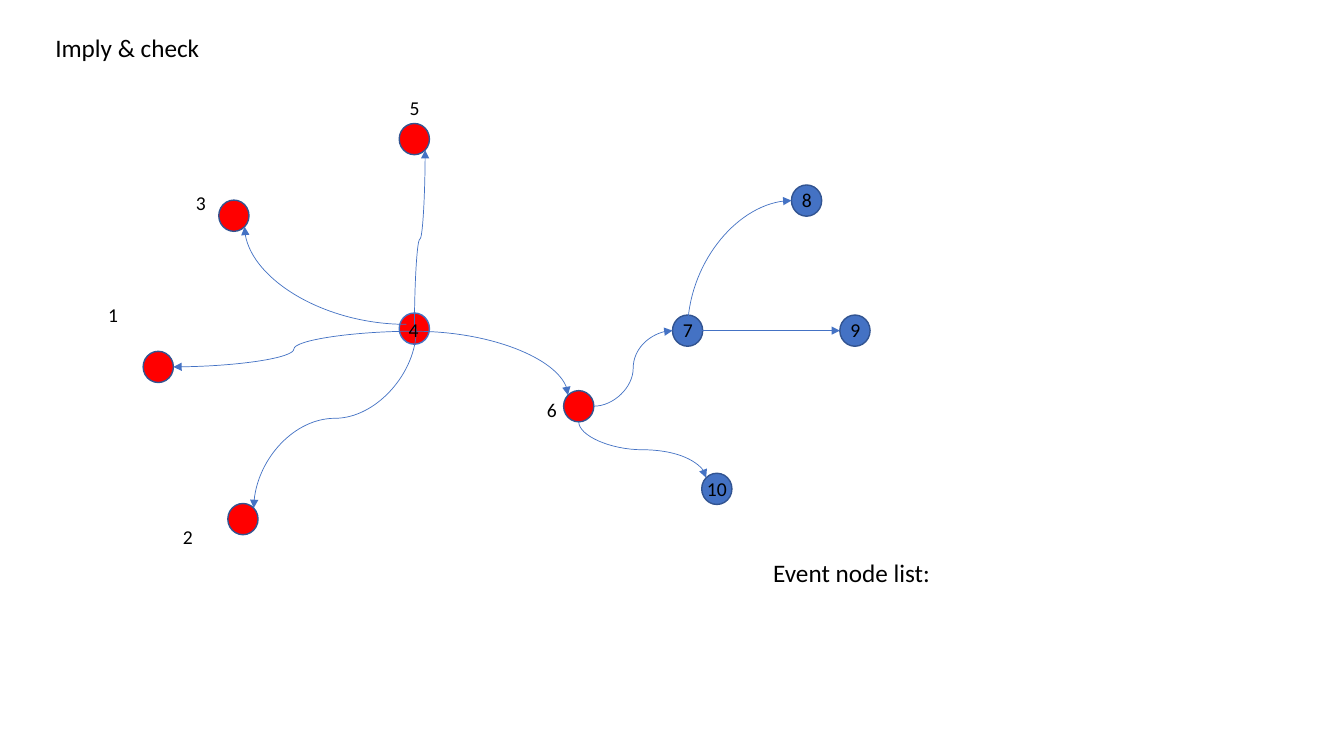
from lxml.etree import SubElement
from pptx import Presentation
from pptx.dml.color import RGBColor
from pptx.enum.shapes import MSO_CONNECTOR as Connector, MSO_SHAPE as Shape
from pptx.enum.text import PP_ALIGN as Align
from pptx.oxml.ns import qn
from pptx.util import Inches, Pt

# Grid: one column and one row are one inch each
COLUMNS, ROWS = 13.33, 7.5
NODE_WIDTH, NODE_HEIGHT = 0.3, 0.31
RED, BLUE, DARK_BLUE, BLACK = "FF0000", "4472C4", "325491", "000000"

# Node number: centre column, centre row, fill, outline, label shift from the centre
NODES = {
    6: (5.74, 4.03, RED, DARK_BLUE, (-0.27, 0.04)),
    7: (6.82, 3.28, BLUE, DARK_BLUE, (0, 0)),
    10: (7.11, 4.85, BLUE, DARK_BLUE, (0, 0)),
    4: (4.11, 3.26, RED, BLUE, (-0.01, 0.01)),
    1: (1.57, 3.64, RED, DARK_BLUE, (-0.45, -0.51)),
    3: (2.32, 2.14, RED, DARK_BLUE, (-0.33, -0.13)),
    5: (4.11, 1.38, RED, DARK_BLUE, (0, -0.31)),
    2: (2.41, 5.15, RED, DARK_BLUE, (-0.55, 0.18)),
    8: (8.0, 1.99, BLUE, DARK_BLUE, (0, 0)),
    9: (8.48, 3.28, BLUE, DARK_BLUE, (0, 0)),
}

# Attachment points, as shares of a node's radii
CENTRE, LEFT, RIGHT, BOTTOM = (0, 0), (-1, 0), (1, 0), (0, 1)
TOP_LEFT, TOP_RIGHT, BOTTOM_RIGHT = (-0.71, -0.71), (0.71, -0.71), (0.71, 0.71)
BELOW_CENTRE = (0, 0.17)

# From node, point, to node, point, number of bends, leaves vertically
EDGES = [
    (7, CENTRE, 9, LEFT, 2, False),
    (7, CENTRE, 8, LEFT, 1, True),
    (6, RIGHT, 7, LEFT, 2, False),
    (6, BOTTOM, 10, TOP_LEFT, 2, True),
    (4, BELOW_CENTRE, 6, TOP_LEFT, 1, False),
    (4, (-0.53, -0.27), 3, BOTTOM_RIGHT, 1, False),
    (4, CENTRE, 5, BOTTOM_RIGHT, 2, True),
    (4, (0.13, 0), 2, TOP_RIGHT, 2, True),
    (4, BELOW_CENTRE, 1, RIGHT, 2, False),
]


def color(hex_string):
    return RGBColor.from_string(hex_string)


def add_text(slide, text, left, top, width, height, size=14, align=Align.LEFT, wrap=True):
    box = slide.shapes.add_textbox(Inches(left), Inches(top), Inches(width), Inches(height))
    box.text_frame.word_wrap = wrap
    paragraph = box.text_frame.paragraphs[0]
    paragraph.alignment = align
    run = paragraph.add_run()
    run.text = text
    run.font.name = "Calibri"
    run.font.size = Pt(size)
    run.font.color.rgb = color(BLACK)


def add_node(slide, column, row, fill, outline):
    shape = slide.shapes.add_shape(
        Shape.OVAL, Inches(column - NODE_WIDTH / 2), Inches(row - NODE_HEIGHT / 2),
        Inches(NODE_WIDTH), Inches(NODE_HEIGHT))
    shape.shadow.inherit = False
    shape.fill.solid()
    shape.fill.fore_color.rgb = color(fill)
    shape.line.color.rgb = color(outline)
    shape.line.width = Pt(1)


def add_label(slide, number, column, row):
    width, height = (0.42 if number > 9 else 0.29), 0.34
    add_text(slide, str(number), column - width / 2, row - height / 2, width, height,
             align=Align.CENTER, wrap=False)


def node_point(number, point):
    column, row = NODES[number][:2]
    return column + point[0] * NODE_WIDTH / 2, row + point[1] * NODE_HEIGHT / 2


def add_curved_arrow(slide, start, end, bends, vertical):
    across, down = end[0] - start[0], end[1] - start[1]
    middle = (start[0] + end[0]) / 2, (start[1] + end[1]) / 2
    # A vertical start is a horizontal one turned by 90 degrees about the middle
    if vertical:
        across, down = down, -across
    connector = slide.shapes.add_connector(
        Connector.CURVE,
        Inches(middle[0] - across / 2), Inches(middle[1] - down / 2),
        Inches(middle[0] + across / 2), Inches(middle[1] + down / 2))
    connector.line.color.rgb = color(BLUE)
    connector.line.width = Pt(0.5)
    properties = connector._element.spPr
    if vertical:
        properties.find(qn("a:xfrm")).set("rot", str(90 * 60000))
    properties.find(qn("a:prstGeom")).set("prst", f"curvedConnector{bends + 1}")
    SubElement(properties.find(qn("a:ln")), qn("a:tailEnd"), type="triangle")
    SubElement(properties, qn("a:effectLst"))


def main():
    presentation = Presentation()
    presentation.slide_width = Inches(COLUMNS)
    presentation.slide_height = Inches(ROWS)
    slide = presentation.slides.add_slide(presentation.slide_layouts[6])

    # Graph: nodes, arrows, then labels on top
    for column, row, fill, outline, _ in NODES.values():
        add_node(slide, column, row, fill, outline)
    for source, source_point, target, target_point, bends, vertical in EDGES:
        add_curved_arrow(slide, node_point(source, source_point),
                         node_point(target, target_point), bends, vertical)
    for number, (column, row, _, _, shift) in NODES.items():
        add_label(slide, number, column + shift[0], row + shift[1])

    # Headings
    add_text(slide, "Imply & check", 0.45, 0.27, 1.81, 0.4, size=18)
    add_text(slide, "Event node list:", 7.57, 5.48, 2, 0.4, size=18)

    presentation.save("out.pptx")


if __name__ == "__main__":
    main()
